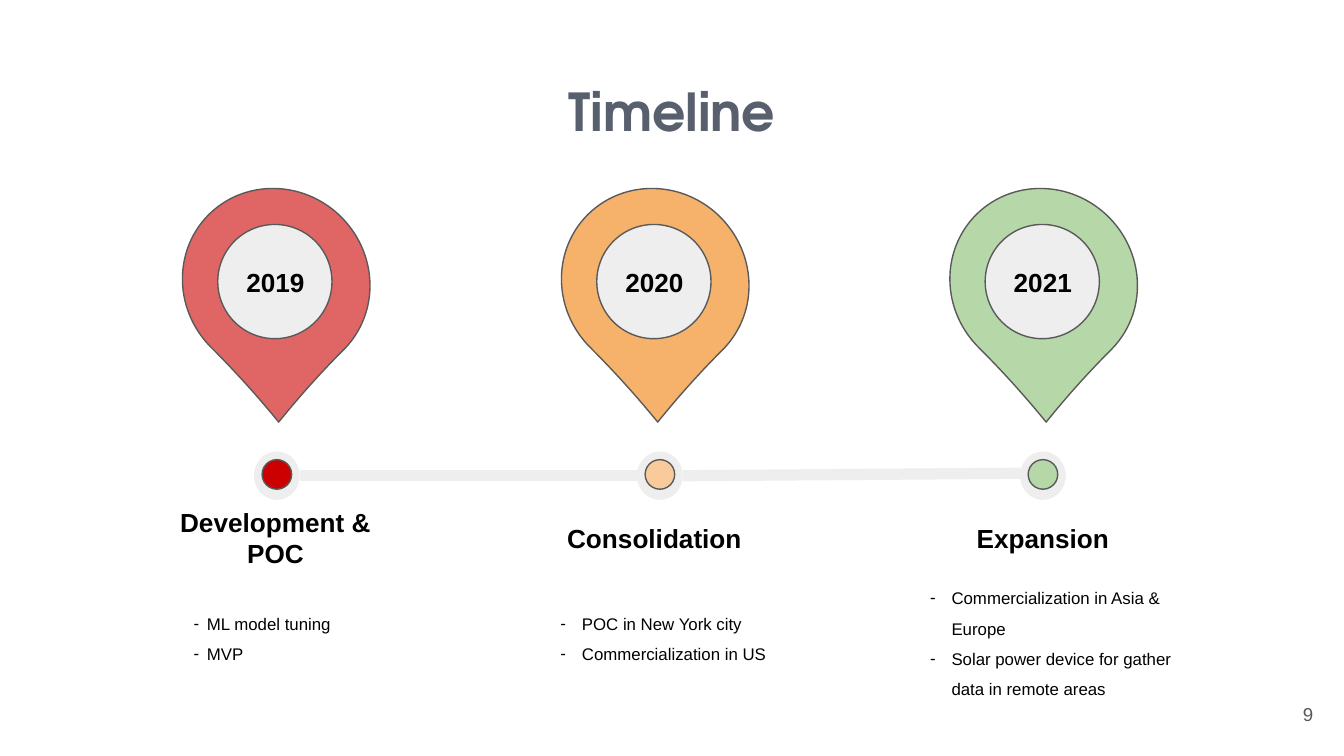
from pptx import Presentation
from pptx.dml.color import RGBColor
from pptx.enum.shapes import MSO_CONNECTOR as Connector, MSO_SHAPE as Shape
from pptx.enum.text import MSO_ANCHOR as Anchor, PP_ALIGN as Align
from pptx.oxml.ns import qn
from pptx.util import Inches, Pt
from lxml.etree import SubElement

COLORS = {
    "title": "59606D", "text": "000000", "outline": "595959", "pale": "EEEEEE",
    "red": "E06666", "dark red": "CC0000", "orange": "F6B26B",
    "light orange": "F9CB9C", "green": "B6D7A8",
}

STAGES = [
    {"year": "2019", "name": "Development & POC", "pin": "red", "dot": "dark red",
     "pin_left": 1.37, "items": ["ML model tuning", "MVP"],
     "list_box": (1.14, 4.39, 1.9, 0.71), "indent": (0.1, -0.17)},
    {"year": "2020", "name": "Consolidation", "pin": "orange", "dot": "light orange",
     "pin_left": 4.19, "items": ["POC in New York city", "Commercialization in US"],
     "list_box": (3.64, 4.39, 2.46, 0.71), "indent": (0.39, -0.16)},
    {"year": "2021", "name": "Expansion", "pin": "green", "dot": "green",
     "pin_left": 7.08,
     "items": ["Commercialization in Asia & Europe",
               "Solar power device for gather data in remote areas"],
     "list_box": (6.48, 4.2, 2.55, 0.71), "indent": (0.3, -0.16)},
]
TRACKS = [(2.23, 3.54, 4.99, 3.54), (5.08, 3.54, 7.83, 3.52)]
NODE_LEFT, NODE_STEP = 1.89, 2.85


def color(name):
    return RGBColor.from_string(COLORS[name])


def set_font(paragraph, size, name, bold=False, face="Arial"):
    font = paragraph.font
    font.size, font.bold, font.name = Pt(size), bold, face
    font.color.rgb = color(name)


def set_frame(frame, anchor, left_inset=0.1):
    frame.word_wrap = True
    frame.vertical_anchor = anchor
    frame.margin_left = Inches(left_inset)
    frame.margin_right = frame.margin_top = frame.margin_bottom = Inches(0.1)


def add_text(slide, box, text, size, name="text", bold=False, align=Align.CENTER):
    frame = slide.shapes.add_textbox(*map(Inches, box)).text_frame
    set_frame(frame, Anchor.MIDDLE)
    paragraph = frame.paragraphs[0]
    paragraph.text, paragraph.alignment = text, align
    set_font(paragraph, size, name, bold)


def add_filled(slide, kind, box, fill, outlined=True):
    shape = slide.shapes.add_shape(kind, *map(Inches, box))
    shape.shadow.inherit = False
    shape.fill.solid()
    shape.fill.fore_color.rgb = color(fill)
    if outlined:
        shape.line.color.rgb = color("outline")
        shape.line.width = Pt(0.75)
    else:
        shape.line.fill.background()
    return shape


def add_track(slide, ends):
    track = slide.shapes.add_connector(Connector.STRAIGHT, *map(Inches, ends))
    track.line.color.rgb = color("pale")
    track.line.width = Pt(6)
    SubElement(track._element.spPr, qn("a:effectLst"))


def add_list(slide, box, items, indent):
    frame = slide.shapes.add_textbox(*map(Inches, box)).text_frame
    set_frame(frame, Anchor.TOP, 0.3)
    for index, item in enumerate(items):
        paragraph = frame.add_paragraph() if index else frame.paragraphs[0]
        paragraph.text = item
        paragraph.line_spacing = 1.5
        properties = paragraph._p.get_or_add_pPr()
        properties.set("marL", str(Inches(indent[0])))
        properties.set("indent", str(Inches(indent[1])))
        bullet_color = SubElement(properties, qn("a:buClr"))
        SubElement(bullet_color, qn("a:srgbClr"), val=COLORS["text"])
        SubElement(properties, qn("a:buFont"), typeface="Arial")
        SubElement(properties, qn("a:buChar"), char="-")
        set_font(paragraph, 9, "text")


def add_stage(slide, index, stage):
    node_left = NODE_LEFT + index * NODE_STEP
    add_filled(slide, Shape.OVAL, (node_left, 3.36, 0.34, 0.36), "pale", False)
    add_filled(slide, Shape.OVAL, (node_left + 0.06, 3.42, 0.22, 0.22), stage["dot"])

    left = stage["pin_left"]
    pin = add_filled(slide, Shape.TEAR, (left, 1.39, 1.37, 1.42), stage["pin"])
    pin.adjustments[0] = 1.055
    pin.rotation = 135
    add_filled(slide, Shape.OVAL, (left + 0.25, 1.67, 0.85, 0.85), "pale")
    add_text(slide, (left + 0.35, 1.95, 0.66, 0.3), stage["year"], 14, bold=True)
    add_text(slide, (left - 0.27, 3.85, 1.9, 0.3), stage["name"], 14, bold=True)
    add_list(slide, stage["list_box"], stage["items"], stage["indent"])


def main():
    presentation = Presentation()
    presentation.slide_width = Inches(10)
    presentation.slide_height = Inches(10) * 9 // 16
    slide = presentation.slides.add_slide(presentation.slide_layouts[5])

    title = slide.shapes.title
    title.left, title.top, title.width, title.height = map(Inches, (0.34, 0.49, 9.32, 0.63))
    title.text = "Timeline"
    set_frame(title.text_frame, Anchor.TOP)
    heading = title.text_frame.paragraphs[0]
    heading.alignment = Align.CENTER
    set_font(heading, 28, "title", True, "TeX Gyre Adventor")

    add_text(slide, (9.27, 5.1, 0.6, 0.43), "9", 10, "outline", align=Align.RIGHT)
    for ends in TRACKS:
        add_track(slide, ends)
    for index, stage in enumerate(STAGES):
        add_stage(slide, index, stage)
    presentation.save("out.pptx")


if __name__ == "__main__":
    main()
